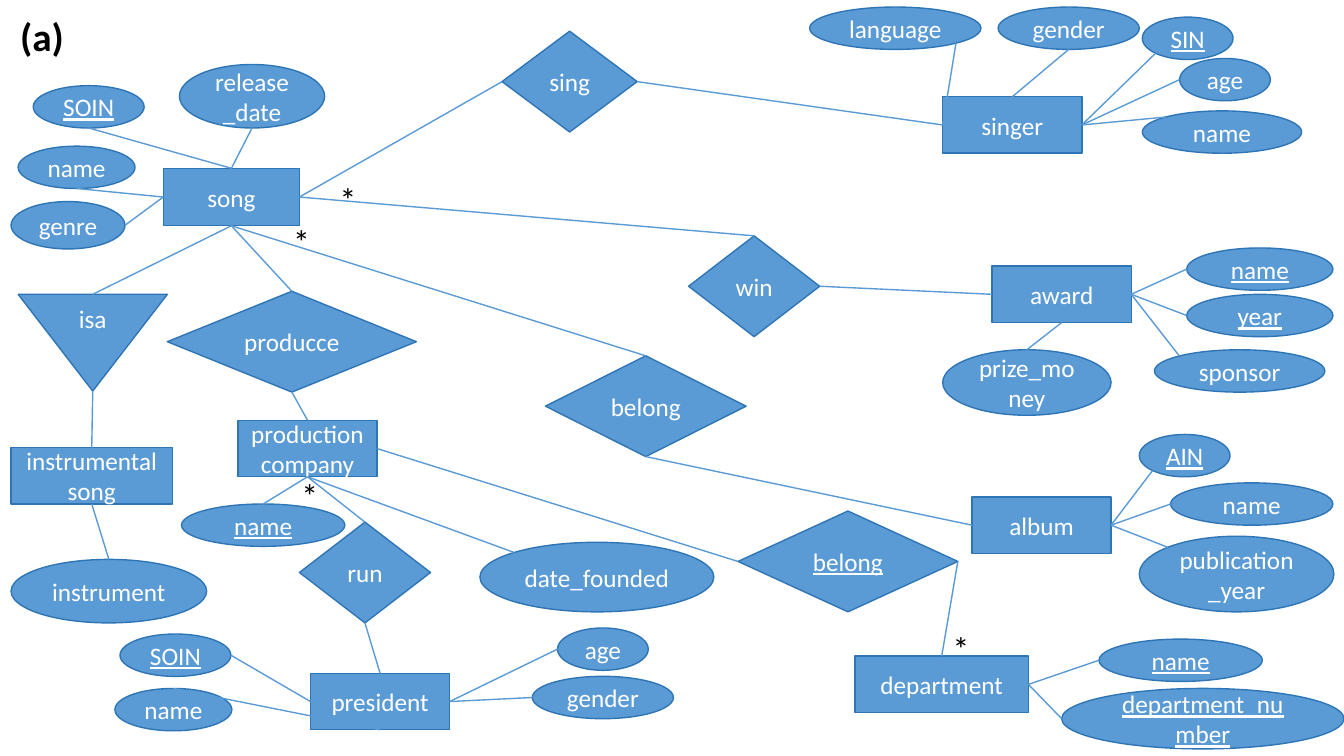
from lxml import etree
from pptx import Presentation
from pptx.dml.color import RGBColor
from pptx.enum.shapes import MSO_CONNECTOR, MSO_SHAPE as Preset
from pptx.enum.text import MSO_ANCHOR as Anchor, MSO_AUTO_SIZE as AutoSize, PP_ALIGN as Align
from pptx.oxml.ns import qn
from pptx.util import Inches, Pt

color = RGBColor.from_string
FILL, OUTLINE = "5B9BD5", "2E75B6"
ENTITY_WIDTH, ENTITY_HEIGHT = 1.38, 0.56
DIAMOND_HEIGHT, OVAL_HEIGHT = 1, 0.42
NEAR, FAR = 0.146, 0.854  # where a diagonal meets an ellipse

# Anchor points as shares of a shape's width and height
SIDES = {
    "top": (0.5, 0), "left": (0, 0.5), "bottom": (0.5, 1), "right": (1, 0.5),
    "top left": (NEAR, NEAR), "bottom left": (NEAR, FAR), "bottom right": (FAR, FAR),
}
SITES = ["top", "left", "bottom", "right"]

deck = Presentation()
deck.slide_width, deck.slide_height = Inches(13.33), Inches(7.5)
page = deck.slides.add_slide(deck.slide_layouts[5])


def add_node(preset, text, left, top, width, height, underline=False):
    node = page.shapes.add_shape(preset, *map(Inches, (left, top, width, height)))
    node.shadow.inherit = False
    node.fill.solid()
    node.fill.fore_color.rgb = color(FILL)
    node.line.color.rgb = color(OUTLINE)
    node.line.width = Pt(1)
    frame = node.text_frame
    frame.word_wrap = True
    frame.vertical_anchor = Anchor.MIDDLE
    para = frame.paragraphs[0]
    para.alignment = Align.CENTER
    span = para.add_run()
    span.text = text
    span.font.color.rgb = color("FFFFFF")
    formats = {"name": "Calibri", "size": Pt(18), "underline": underline or None}
    for attribute, value in formats.items():
        setattr(span.font, attribute, value)
    return node


def add_link(start, start_side, end, end_side):
    """Join two nodes, gluing each end that sits on a four-sided node."""
    points = []
    for node, side in ((start, start_side), (end, end_side)):
        across, down = SIDES[side]
        points += [int(node.left + across * node.width), int(node.top + down * node.height)]
    link = page.shapes.add_connector(MSO_CONNECTOR.STRAIGHT, *points)
    if start.auto_shape_type != Preset.OVAL:
        link.begin_connect(start, SITES.index(start_side))
    if end.auto_shape_type != Preset.OVAL:
        link.end_connect(end, SITES.index(end_side))
    link.line.color.rgb = color(FILL)
    link.line.width = Pt(1)
    etree.SubElement(link._element.spPr, qn("a:effectLst"))


# Entities: name, left, top, width, height
nodes = {}
for name, left, top, width, height in [
    ("song", 1.62, 1.67, 1.35, 0.57),
    ("singer", 9.35, 0.96, ENTITY_WIDTH, ENTITY_HEIGHT),
    ("instrumental song", 0.11, 4.44, 1.6, ENTITY_HEIGHT),
    ("production company", 2.36, 4.17, ENTITY_WIDTH, ENTITY_HEIGHT),
    ("album", 9.64, 4.93, ENTITY_WIDTH, ENTITY_HEIGHT),
    ("award", 9.84, 2.64, ENTITY_WIDTH, ENTITY_HEIGHT),
    ("department", 8.48, 6.51, 1.72, ENTITY_HEIGHT),
    ("president", 3.08, 6.68, ENTITY_WIDTH, ENTITY_HEIGHT),
]:
    nodes[name] = add_node(Preset.RECTANGLE, name, left, top, width, height)

# Relationships: key, text, left, top, width, underlined
for key, text, left, top, width, underline in [
    ("sing", "sing", 4.98, 0.31, 1.34, False),
    ("produce", "producce", 1.66, 2.89, 2.47, False),
    ("win", "win", 6.83, 2.34, 1.3, False),
    ("song belongs", "belong", 5.41, 3.53, 1.99, False),
    ("company belongs", "belong", 7.32, 5.07, 2.18, True),
    ("run", "run", 2.97, 5.18, 1.3, False),
]:
    nodes[key] = add_node(Preset.DIAMOND, text, left, top, width, DIAMOND_HEIGHT, underline)
nodes["isa"] = add_node(Preset.FLOWCHART_MERGE, "isa", 0.18, 2.92, 1.48, 0.96)

for start, start_side, end, end_side in [
    ("song", "right", "sing", "left"),
    ("sing", "right", "singer", "left"),
    ("song", "bottom", "isa", "top"),
    ("isa", "bottom", "instrumental song", "top"),
    ("song", "bottom", "produce", "top"),
    ("produce", "bottom", "production company", "top"),
    ("song", "bottom", "song belongs", "top"),
    ("song belongs", "bottom", "album", "left"),
    ("production company", "right", "company belongs", "left"),
    ("company belongs", "right", "department", "top"),
    ("song", "right", "win", "top"),
    ("win", "right", "award", "left"),
    ("production company", "bottom", "run", "top"),
    ("run", "bottom", "president", "top"),
]:
    add_link(nodes[start], start_side, nodes[end], end_side)

# Attributes by entity: text, left, top, width, height, own side, entity side, key
attributes = {
    "song": [
        ("SOIN", 0.33, 0.85, 1.1, OVAL_HEIGHT, "bottom", "top", True),
        ("release_date", 1.78, 0.64, 1.44, 0.63, "bottom", "top", False),
        ("name", 0.18, 1.45, 1.16, OVAL_HEIGHT, "bottom", "left", False),
        ("genre", 0.11, 2, 1.13, 0.47, "right", "left", False),
    ],
    "instrumental song": [
        ("instrument", 0.11, 5.55, 1.94, 0.63, "top", "bottom", False),
    ],
    "singer": [
        ("SIN", 11.33, 0.17, 0.9, OVAL_HEIGHT, "bottom left", "right", True),
        ("age", 11.7, 0.58, 0.9, OVAL_HEIGHT, "left", "right", False),
        ("name", 11.33, 1.1, 1.58, OVAL_HEIGHT, "top left", "right", False),
        ("gender", 9.9, 0.07, 1.4, OVAL_HEIGHT, "bottom", "top", False),
        ("language", 8.03, 0.07, 1.7, OVAL_HEIGHT, "bottom right", "left", False),
    ],
    "award": [
        ("name", 11.77, 2.46, 1.45, OVAL_HEIGHT, "left", "right", True),
        ("year", 11.77, 2.92, 1.45, OVAL_HEIGHT, "left", "right", True),
        ("sponsor", 11.45, 3.47, 1.69, OVAL_HEIGHT, "top left", "right", False),
        ("prize_money", 9.35, 3.47, 1.67, 0.65, "top", "bottom", False),
    ],
    "album": [
        ("AIN", 11.3, 4.31, 0.9, OVAL_HEIGHT, "bottom left", "right", True),
        ("name", 11.61, 4.79, 1.61, OVAL_HEIGHT, "left", "right", False),
        ("publication_year", 11.3, 5.32, 1.93, 0.75, "top left", "right", False),
    ],
    "department": [
        ("name", 10.9, 6.34, 1.62, OVAL_HEIGHT, "left", "right", True),
        ("department_number", 10.53, 6.83, 2.8, 0.6, "left", "right", True),
    ],
    "production company": [
        ("name", 1.8, 5, 1.62, OVAL_HEIGHT, "top", "bottom", True),
        ("date_founded", 4.76, 5.38, 2.32, 0.69, "top left", "bottom", False),
    ],
    "president": [
        ("SOIN", 1.19, 6.29, 1.1, OVAL_HEIGHT, "right", "left", True),
        ("name", 1.14, 6.83, 1.16, OVAL_HEIGHT, "top", "bottom", False),
        ("gender", 5.28, 6.71, 1.4, OVAL_HEIGHT, "left", "right", False),
        ("age", 5.53, 6.23, 0.9, OVAL_HEIGHT, "left", "right", False),
    ],
}
for entity, ovals in attributes.items():
    for text, left, top, width, height, side, entity_side, is_key in ovals:
        oval = add_node(Preset.OVAL, text, left, top, width, height, is_key)
        add_link(oval, side, nodes[entity], entity_side)

# Slide label and the "many" marks
labels = [(page.shapes.title, "(a)", 0.1, 0.07, 1.13, 0.57, 28, True)]
for left, top in [(3.27, 1.73), (2.81, 2.14), (2.89, 4.66), (9.35, 6.18)]:
    mark = page.shapes.add_textbox(0, 0, 0, 0)
    labels.append((mark, "*", left, top, 0.6, 0.5, 24, False))

for box, text, left, top, width, height, size, bold in labels:
    place = {"left": left, "top": top, "width": width, "height": height}
    for attribute, value in place.items():
        setattr(box, attribute, Inches(value))
    frame = box.text_frame
    frame.word_wrap = True
    frame.auto_size = AutoSize.SHAPE_TO_FIT_TEXT
    frame.vertical_anchor = Anchor.TOP
    para = frame.paragraphs[0]
    para.alignment = Align.LEFT
    span = para.add_run()
    span.text = text
    span.font.color.rgb = color("000000")
    for attribute, value in {"name": "Calibri", "size": Pt(size), "bold": bold}.items():
        setattr(span.font, attribute, value)

deck.save("out.pptx")
